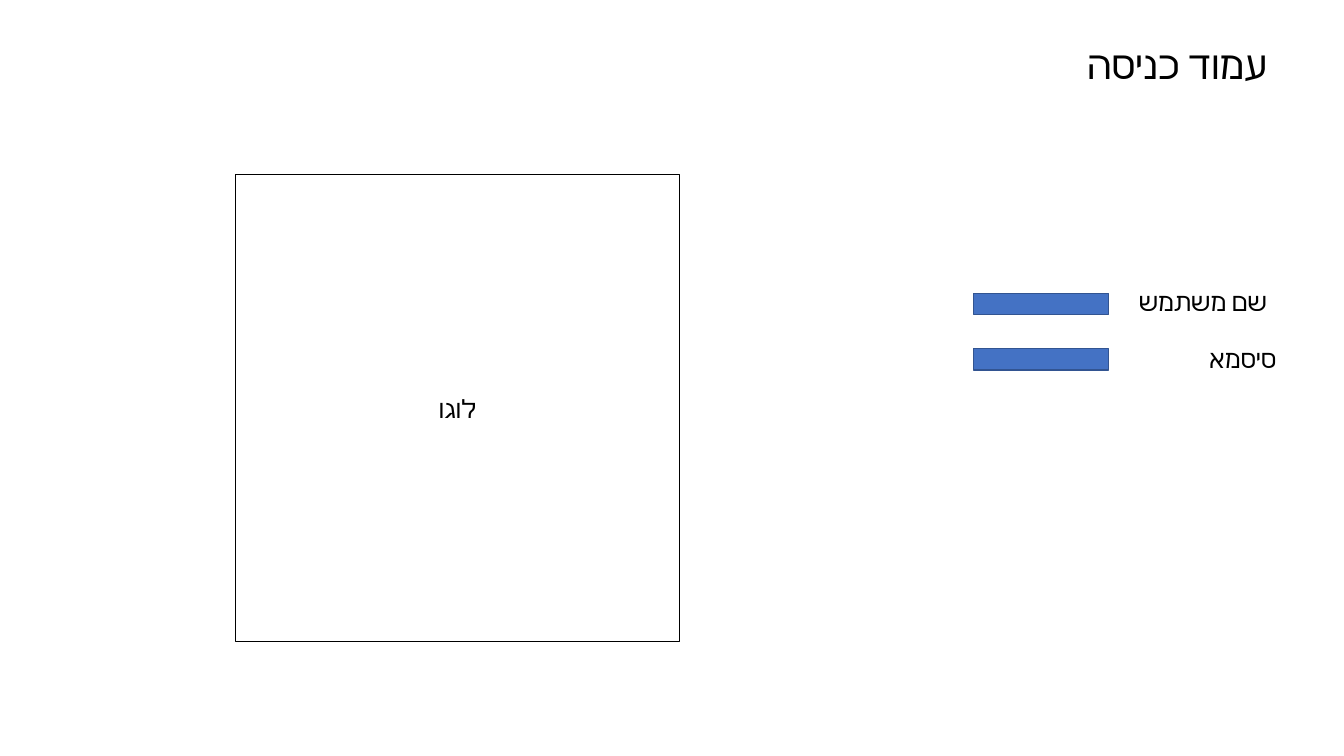
from dataclasses import dataclass

import lxml.etree
import pptx
import pptx.dml.color
import pptx.enum.shapes
import pptx.enum.text
import pptx.oxml.ns
import pptx.util

Pt = pptx.util.Pt
RGB = pptx.dml.color.RGBColor
Align = pptx.enum.text.PP_ALIGN
Anchor = pptx.enum.text.MSO_ANCHOR
qn = pptx.oxml.ns.qn


@dataclass(frozen=True)
class Theme:
    font: str = "Calibri"
    title_size: float = 28
    body_size: float = 18
    ink: RGB = RGB(0x00, 0x00, 0x00)
    field_fill: RGB = RGB(0x44, 0x72, 0xC4)
    field_line: RGB = RGB(0x32, 0x54, 0x91)


@dataclass(frozen=True)
class Box:
    left: float
    top: float
    width: float
    height: float

    def points(self) -> tuple:
        return Pt(self.left), Pt(self.top), Pt(self.width), Pt(self.height)


@dataclass(frozen=True)
class LoginField:
    label: str
    label_box: Box
    input_box: Box


THEME = Theme()
TITLE_BOX = Box(544.3, 25.2, 368, 41)
LOGO_BOX = Box(168.5, 124.5, 316.8, 334.1)
FIELDS = [
    LoginField("שם משתמש", Box(792, 200.9, 120.2, 29), Box(695.5, 209.5, 96.5, 15.1)),
    LoginField("סיסמא", Box(798.5, 242, 120.2, 29), Box(695.5, 249.1, 96.5, 15.1)),
]


def write_hebrew(s, text: str, size: float, align, anchor=Anchor.TOP) -> None:
    """Fill a shape with one right-to-left paragraph."""
    tf = s.text_frame
    tf.word_wrap = True
    tf.auto_size = pptx.enum.text.MSO_AUTO_SIZE.NONE
    tf.vertical_anchor = anchor
    p = tf.paragraphs[0]
    p.add_run().text = text
    p.alignment = align
    p.font.size = Pt(size)
    p.font.name = THEME.font
    p.font.color.rgb = THEME.ink
    properties = p._p.get_or_add_pPr()
    properties.set("rtl", "1")
    complex_script = lxml.etree.SubElement(properties.find(qn("a:defRPr")), qn("a:cs"))
    complex_script.set("typeface", THEME.font)


def add_rectangle(slide, box: Box, line: RGB, line_width: float):
    s = slide.shapes.add_shape(pptx.enum.shapes.MSO_SHAPE.RECTANGLE, *box.points())
    s.shadow.inherit = False
    s.line.color.rgb = line
    s.line.width = Pt(line_width)
    return s


def add_title(slide) -> None:
    s = slide.shapes.title
    s.left, s.top, s.width, s.height = TITLE_BOX.points()
    write_hebrew(s, "עמוד כניסה", THEME.title_size, Align.RIGHT)


def add_login_field(slide, field: LoginField) -> None:
    label = slide.shapes.add_textbox(*field.label_box.points())
    write_hebrew(label, field.label, THEME.body_size, Align.RIGHT)
    s = add_rectangle(slide, field.input_box, THEME.field_line, 1)
    s.fill.solid()
    s.fill.fore_color.rgb = THEME.field_fill


def add_logo_frame(slide) -> None:
    s = add_rectangle(slide, LOGO_BOX, THEME.ink, 0.75)
    s.fill.background()
    write_hebrew(s, "לוגו", THEME.body_size, Align.CENTER, Anchor.MIDDLE)


def main() -> None:
    prs = pptx.Presentation()
    prs.slide_width, prs.slide_height = Pt(960), Pt(540)
    slide = prs.slides.add_slide(prs.slide_layouts.get_by_name("Title Only"))
    add_title(slide)
    for field in FIELDS:
        add_login_field(slide, field)
    add_logo_frame(slide)
    prs.save("out.pptx")


if __name__ == "__main__":
    main()
